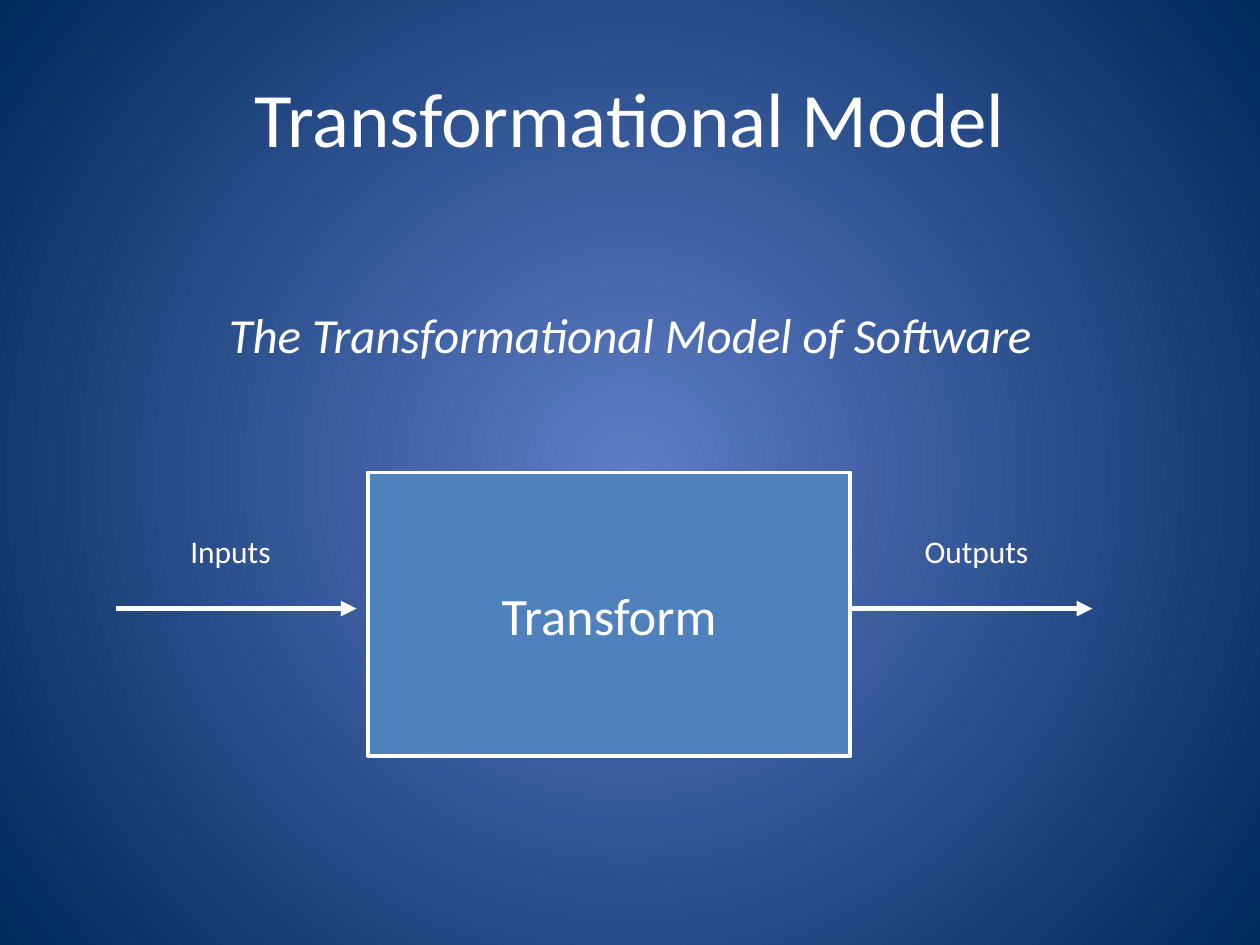
from lxml import etree
from pptx import Presentation
from pptx.dml.color import RGBColor
from pptx.enum.shapes import MSO_CONNECTOR, MSO_SHAPE
from pptx.enum.text import MSO_ANCHOR, PP_ALIGN
from pptx.oxml.ns import qn
from pptx.util import Inches, Pt

STRAIGHT = MSO_CONNECTOR.STRAIGHT
RECTANGLE = MSO_SHAPE.RECTANGLE
TOP, MIDDLE = MSO_ANCHOR.TOP, MSO_ANCHOR.MIDDLE
CENTER = PP_ALIGN.CENTER

COLORS = {"white": "FFFFFF", "box": "4F81BD", "glow": "5E7CC5", "edge": "00295C"}


class Deck:
    """Holds the style and the current slide, and draws each kind of element."""

    def __init__(self, prs, font="Calibri"):
        self.font = font
        self.s = prs.slides.add_slide(prs.slide_layouts[6])

    def color(self, name):
        return RGBColor.from_string(COLORS[name])

    def background(self, inner, outer):
        fill = self.s.background.fill
        fill.gradient()
        for stop, name in zip(fill.gradient_stops, (inner, outer)):
            stop.color.rgb = self.color(name)
        grad = self.s.element.find(".//" + qn("a:gradFill"))
        grad.remove(grad.find(qn("a:lin")))
        circle = etree.Element(qn("a:path"), {"path": "circle"})
        etree.SubElement(circle, qn("a:fillToRect"), dict.fromkeys("ltrb", "50000"))
        grad.find(qn("a:gsLst")).addnext(circle)

    def set_text(self, sp, text, size, italic=False, wrap=True, anchor=MIDDLE):
        tf = sp.text_frame
        tf.word_wrap = wrap
        tf.vertical_anchor = anchor
        p = tf.paragraphs[0]
        p.text = text
        p.alignment = CENTER
        p.font.name = self.font
        p.font.size = Pt(size)
        p.font.italic = italic
        p.font.color.rgb = self.color("white")

    def text(self, x, y, w, h, text, size, inset=0.05, **style):
        sp = self.s.shapes.add_textbox(Inches(x), Inches(y), Inches(w), Inches(h))
        self.set_text(sp, text, size, **style)
        sp.text_frame.margin_top = Inches(inset)

    def box(self, x, y, w, h, text, size):
        sp = self.s.shapes.add_shape(RECTANGLE, Inches(x), Inches(y), Inches(w), Inches(h))
        sp.shadow.inherit = False
        sp.fill.solid()
        sp.fill.fore_color.rgb = self.color("box")
        sp.line.color.rgb = self.color("white")
        sp.line.width = Pt(2.25)
        self.set_text(sp, text, size, wrap=False)

    def arrow(self, tail, tip, y):
        cx = self.s.shapes.add_connector(STRAIGHT, Inches(tip), Inches(y), Inches(tail), Inches(y))
        cx.line.color.rgb = self.color("white")
        cx.line.width = Pt(3)
        props = cx.element.find(qn("p:spPr"))
        etree.SubElement(props.find(qn("a:ln")), qn("a:headEnd"), type="triangle")
        etree.SubElement(props, qn("a:effectLst"))


def main():
    prs = Presentation()
    prs.slide_width, prs.slide_height = Inches(10), Inches(7.5)
    deck = Deck(prs)
    deck.background("glow", "edge")
    deck.text(0.5, 0.3, 9, 1.25, "Transformational Model", 44)
    deck.text(0.5, 1.75, 9, 4.95, "The Transformational Model of Software", 28,
              inset=0.67, italic=True, anchor=TOP)
    deck.box(2.92, 3.75, 3.83, 2.25, "Transform", 30)
    for label, left, tail, tip in (("Inputs", 1.08, 0.92, 2.83), ("Outputs", 7, 6.75, 8.67)):
        deck.arrow(tail, tip, 4.83)
        deck.text(left, 4.08, 1.5, 0.58, label, 18, wrap=False)
    prs.save("out.pptx")


if __name__ == "__main__":
    main()
